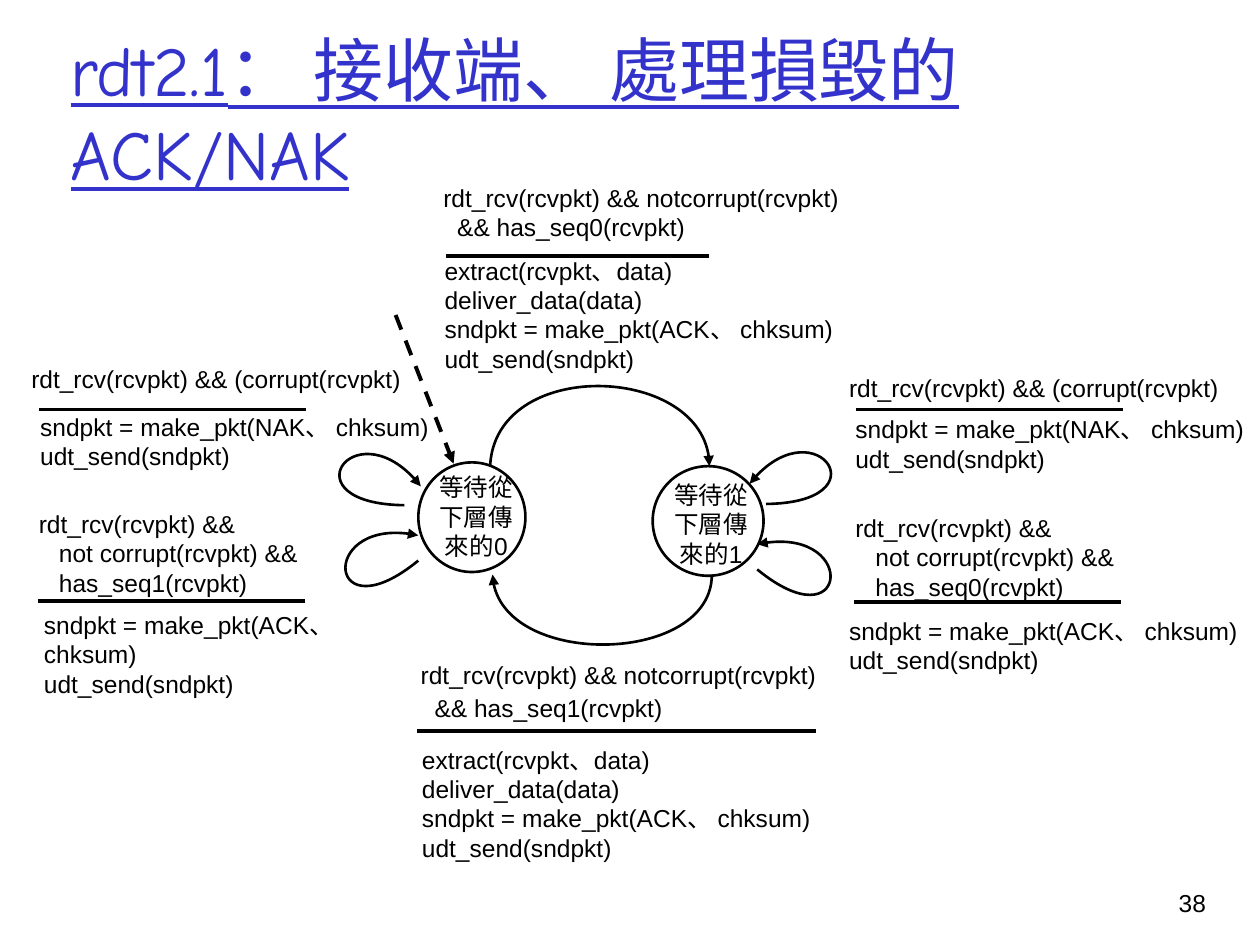
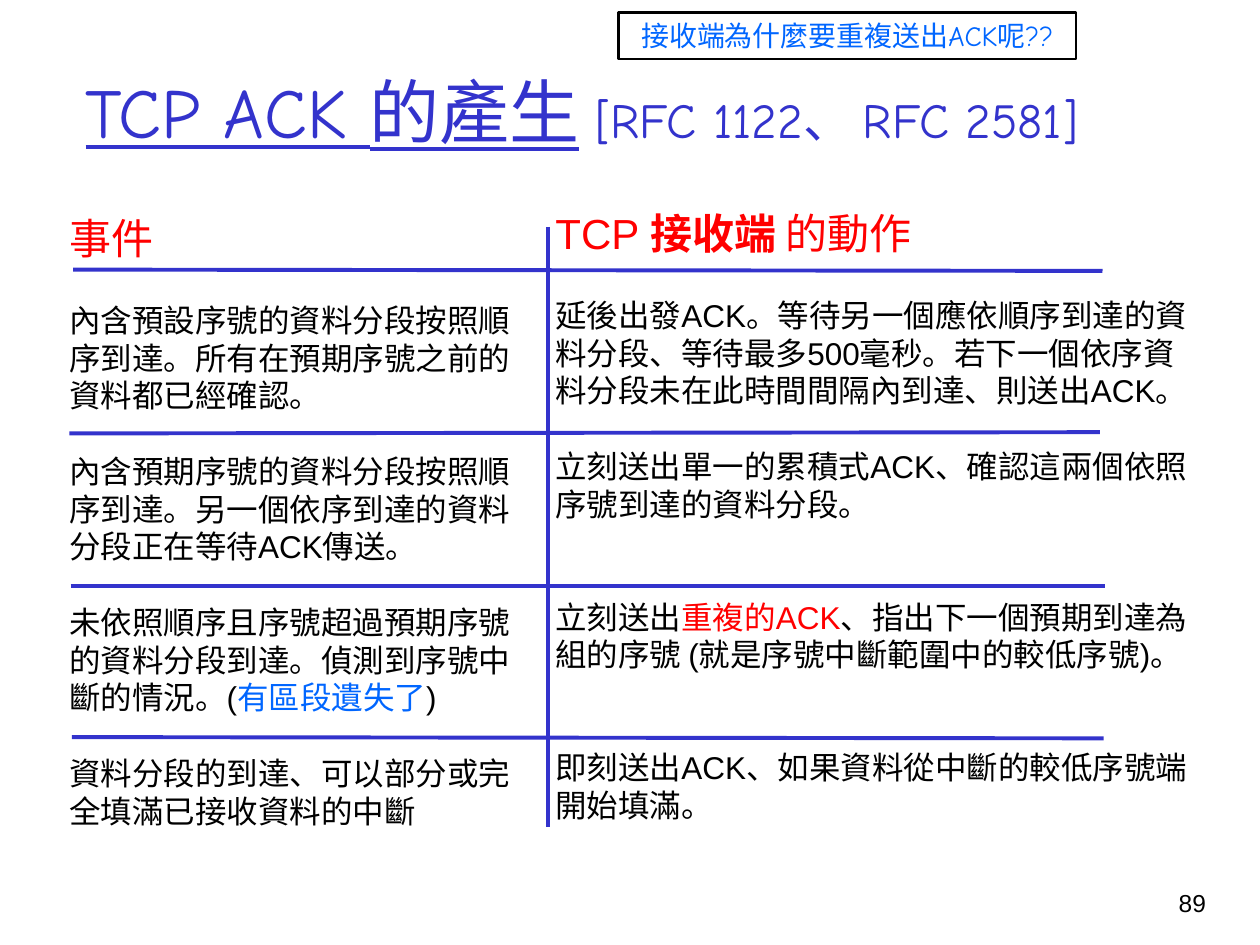
from lxml import etree
from pptx import Presentation
from pptx.dml.color import RGBColor
from pptx.enum.dml import MSO_LINE
from pptx.enum.shapes import MSO_CONNECTOR, MSO_SHAPE
from pptx.enum.text import MSO_ANCHOR, MSO_AUTO_SIZE, PP_ALIGN
from pptx.oxml.ns import qn
from pptx.util import Inches, Pt

LEFT, MID, RIGHT = PP_ALIGN.LEFT, PP_ALIGN.CENTER, PP_ALIGN.RIGHT
OVAL, RECT = MSO_SHAPE.OVAL, MSO_SHAPE.RECTANGLE
STRAIGHT, DASH = MSO_CONNECTOR.STRAIGHT, MSO_LINE.DASH
TOP, MIDDLE, NO_FIT = MSO_ANCHOR.TOP, MSO_ANCHOR.MIDDLE, MSO_AUTO_SIZE.NONE

WIDE, HIGH = 10, 7.5
INK = {"black": "000000", "white": "FFFFFF", "blue": "3333CC",
       "red": "FF0000", "sky": "0066FF"}
BODY, HEAD = "Arial", "Comic Neue"

# ---- Content: state machine. A line is text or (text, indent, space before)
FSM_HEAD = [("rdt2.1： 接收端、 處理損毀的 ACK/NAK", {"line": True})]
GOOD = "rdt_rcv(rcvpkt) && notcorrupt(rcvpkt)"
BAD = ["rdt_rcv(rcvpkt) && (corrupt(rcvpkt)"]
SEND = "udt_send(sndpkt)"
NAK = ["sndpkt = make_pkt(NAK、 chksum)", SEND]
ACK = ["sndpkt = make_pkt(ACK、 chksum)", SEND]
TAKE = ["extract(rcvpkt、data)", "deliver_data(data)"] + ACK


def again(seq):
    return ["rdt_rcv(rcvpkt) &&", ("not corrupt(rcvpkt) &&", 0.16, 0),
            (f"has_seq{seq}(rcvpkt)", 0.16, 0)]


LABELS = [  # left, top, width, height, lines
    (3.42, 1.4, 4.35, 0.63, [GOOD, ("&& has_seq0(rcvpkt)", 0.11, 0)]),
    (3.43, 1.98, 3.8, 0.77, TAKE),
    (3.24, 5.19, 3.92, 0.62, [GOOD, ("&& has_seq1(rcvpkt)", 0.11, 2)]),
    (3.25, 5.86, 4.21, 1.09, TAKE),
    (0.15, 2.84, 3.14, 0.67, BAD),
    (0.22, 3.22, 3.31, 0.45, NAK),
    (0.21, 3.99, 2.87, 0.67, again(1)),
    (0.25, 4.79, 3.22, 0.45, ACK),
    (6.64, 2.91, 3.14, 0.67, BAD),
    (6.69, 3.24, 3.31, 0.45, NAK),
    (6.69, 4.02, 2.87, 0.67, again(0)),
    (6.64, 4.84, 3.36, 0.45, ACK),
]
RULES = [  # left, top, length
    (3.54, 2.03, 2.09), (3.31, 5.8, 3.17), (0.31, 3.25, 2.12),
    (0.3, 4.77, 2.12), (6.79, 3.25, 2.12), (6.78, 4.78, 2.12),
]
STATES = [  # circle box, text box, text
    ((3.32, 3.67, 0.85, 0.87), (3.34, 3.7, 0.88, 0.67), "等待從下層傳來的0"),
    ((5.18, 3.7, 0.88, 0.87), (5.21, 3.76, 0.87, 0.67), "等待從下層傳來的1"),
]
START = (3.14, 2.5, 3.6, 3.68)
CURVES = [  # start, two control points, end with arrowhead
    [(3.89, 3.7), (3.93, 2.84), (5.63, 2.89), (5.63, 3.7)],
    [(5.65, 4.56), (5.65, 5.27), (3.94, 5.31), (3.91, 4.56)],
    [(6.08, 4), (7.01, 3.99), (6.46, 3.2), (5.95, 3.84)],
    [(6.01, 4.52), (6.73, 5.11), (6.82, 4.15), (6.01, 4.32)],
    [(3.32, 4.45), (2.6, 5.04), (2.52, 4.08), (3.32, 4.25)],
    [(3.21, 4.01), (2.28, 4), (2.83, 3.21), (3.34, 3.86)],
]

# ---- Content: ACK rules. Each column has a head and four cells of lines
ACK_HEAD = [("TCP ACK 的產生", {"line": True}), (" ", {}),
            ("[RFC 1122、 RFC 2581]", {"size": 28})]
ASK = "接收端為什麼要重複送出ACK呢??"
BIG = {"size": 24, "ink": "red"}
EVENTS = [
    [[("事件", BIG)]],
    ["內含預設序號的資料分段按照順", "序到達。所有在預期序號之前的", "資料都已經確認。"],
    ["內含預期序號的資料分段按照順", "序到達。另一個依序到達的資料", "分段正在等待ACK傳送。"],
    ["未依照順序且序號超過預期序號", "的資料分段到達。偵測到序號中",
     [("斷的情況。(", {}), ("有區段遺失了", {"ink": "sky"}), (")", {})]],
    ["資料分段的到達、可以部分或完", "全填滿已接收資料的中斷"],
]
ACTS = [
    [[("TCP ", BIG), ("接收端 ", {**BIG, "bold": True}), ("的動作", BIG)]],
    ["延後出發ACK。等待另一個應依順序到達的資",
     "料分段、等待最多500毫秒。若下一個依序資",
     "料分段未在此時間間隔內到達、則送出ACK。"],
    ["立刻送出單一的累積式ACK、確認這兩個依照", "序號到達的資料分段。"],
    [[("立刻送出", {}), ("重複的ACK", {"ink": "red"}),
      ("、指出下一個預期到達為", {})],
     "組的序號 (就是序號中斷範圍中的較低序號)。"],
    ["即刻送出ACK、如果資料從中斷的較低序號端", "開始填滿。"],
]
COLUMNS = [((0.45, 1.64, 3.7, 5.6), EVENTS), ((4.31, 1.6, 5.42, 5.6), ACTS)]
PITCH, SPAN = 21.5, 4  # line height in points, lines per row
GRID = [
    (0.58, 2.14, 8.75, 2.15), (0.55, 3.44, 8.73, 3.43),
    (0.56, 4.65, 8.77, 4.65), (0.57, 5.85, 8.76, 5.86),
    (4.35, 1.8, 4.35, 6.56),
]


# ---- Helpers
def inch(*nums):
    return [Inches(n) for n in nums]


def tint(name):
    return RGBColor.from_string(INK[name])


def add_run(par, text, font, size, ink="black", bold=False, line=False):
    run = par.add_run()
    run.text = text
    face = run.font
    face.name, face.size, face.bold, face.underline = font, Pt(size), bold, line
    face.color.rgb = tint(ink)


def write(shape, lines, size=14, font=BODY, ink="black", align=LEFT,
          wrap=True, anchor=TOP):
    frame = shape.text_frame
    frame.auto_size, frame.word_wrap = NO_FIT, wrap
    frame.vertical_anchor = anchor
    for i, line in enumerate(lines):
        runs, dent, gap = line if isinstance(line, tuple) else (line, 0, 0)
        par = frame.add_paragraph() if i else frame.paragraphs[0]
        par.alignment = align
        if dent:
            par._p.get_or_add_pPr().set("marL", str(Inches(dent)))
        if gap:
            par.space_before = Pt(gap)
        for text, look in [(runs, {})] if isinstance(runs, str) else runs:
            add_run(par, text, font, **{"size": size, "ink": ink, **look})


def add_text(slide, box, lines, **look):
    write(slide.shapes.add_textbox(*inch(*box)), lines, **look)


def stroke(shape, ink, width, arrow=False):
    shape.line.color.rgb = tint(ink)
    shape.line.width = Pt(width)
    if arrow:
        etree.SubElement(shape.line._get_or_add_ln(), qn("a:tailEnd"),
                         type="triangle")


def add_line(slide, ends, ink="black", dash=None, arrow=False):
    line = slide.shapes.add_connector(STRAIGHT, *inch(*ends))
    line.line.dash_style = dash
    stroke(line, ink, 2.25, arrow)
    etree.SubElement(line._element.spPr, qn("a:effectLst"))


def add_form(slide, kind, box, width, fill=None):
    shape = slide.shapes.add_shape(kind, *inch(*box))
    shape.shadow.inherit = False
    if fill:
        shape.fill.solid()
        shape.fill.fore_color.rgb = tint(fill)
    else:
        shape.fill.background()
    stroke(shape, "black", width)
    return shape


def add_curve(slide, points):
    pen = slide.shapes.build_freeform(*inch(*points[0]))
    pen.add_line_segments([inch(*p) for p in points[1:]], close=False)
    shape = pen.convert_to_shape()
    # Turn the three line ends into one Bezier segment
    track = shape._element.find(".//" + qn("a:path"))
    bend = etree.SubElement(track, qn("a:cubicBezTo"))
    for step in track.findall(qn("a:lnTo")):
        bend.append(step[0])
        track.remove(step)
    shape.shadow.inherit = False
    shape.fill.background()
    stroke(shape, "black", 1.5, arrow=True)


def add_page(deck, head, box, number):
    slide = deck.slides.add_slide(deck.slide_layouts[5])
    title = slide.shapes.title
    title.left, title.top, title.width, title.height = inch(*box)
    write(title, [head], size=40, font=HEAD, ink="blue", anchor=MIDDLE)
    add_text(slide, (WIDE - 1.07, HIGH - 0.5, 0.74, 0.5), [number], align=RIGHT)
    return slide


# ---- Slides
def draw_fsm(deck):
    slide = add_page(deck, FSM_HEAD, (0.46, 0.25, 9.1, 1.25), "38")
    for ring, box, text in STATES:
        add_form(slide, OVAL, ring, 1.5, "white")
        add_text(slide, box, [text], align=MID)
    add_line(slide, START, dash=DASH, arrow=True)
    for points in CURVES:
        add_curve(slide, points)
    for x, y, length in RULES:
        add_line(slide, (x, y, x + length, y))
    for *box, lines in LABELS:
        add_text(slide, box, lines)


def stack(cells):
    lines, gap = [], 0
    for i, cell in enumerate(cells):
        lines += [(runs, 0, 0 if j else gap) for j, runs in enumerate(cell)]
        gap = PITCH * (SPAN - len(cell) if i else 1)
    return lines


def draw_acks(deck):
    slide = add_page(deck, ACK_HEAD, (0.58, 0.25, 8.94, 1.25), "89")
    for box, cells in COLUMNS:
        add_text(slide, box, stack(cells), size=18, wrap=False)
    for ends in GRID:
        add_line(slide, ends, "blue")
    note = add_form(slide, RECT, (4.91, 0.1, 3.63, 0.37), 1.25)
    write(note, [ASK], size=16, font=HEAD, ink="sky", align=MID, wrap=False)


def main():
    deck = Presentation()
    deck.slide_width, deck.slide_height = inch(WIDE, HIGH)
    draw_fsm(deck)
    draw_acks(deck)
    deck.save("out.pptx")


if __name__ == "__main__":
    main()
